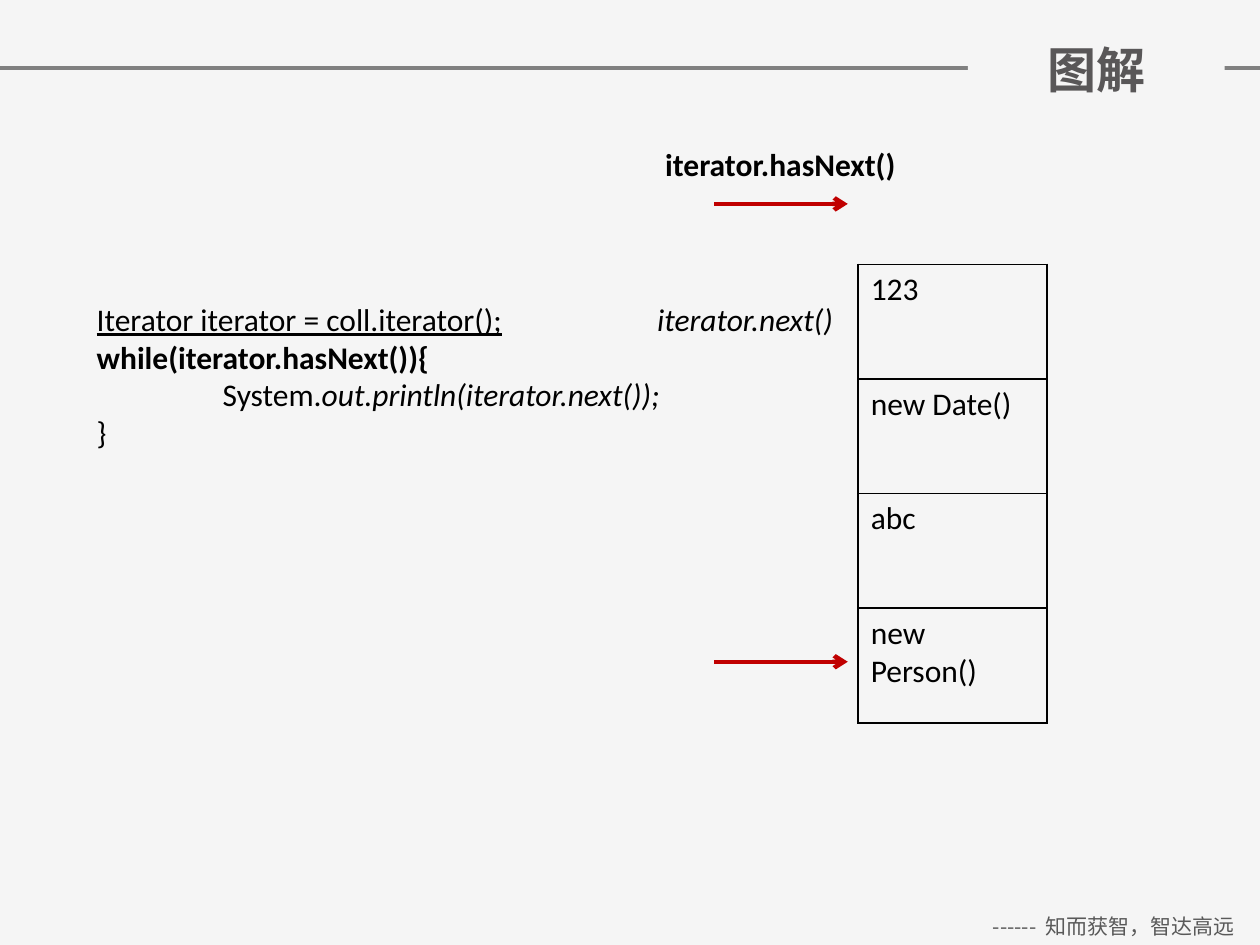
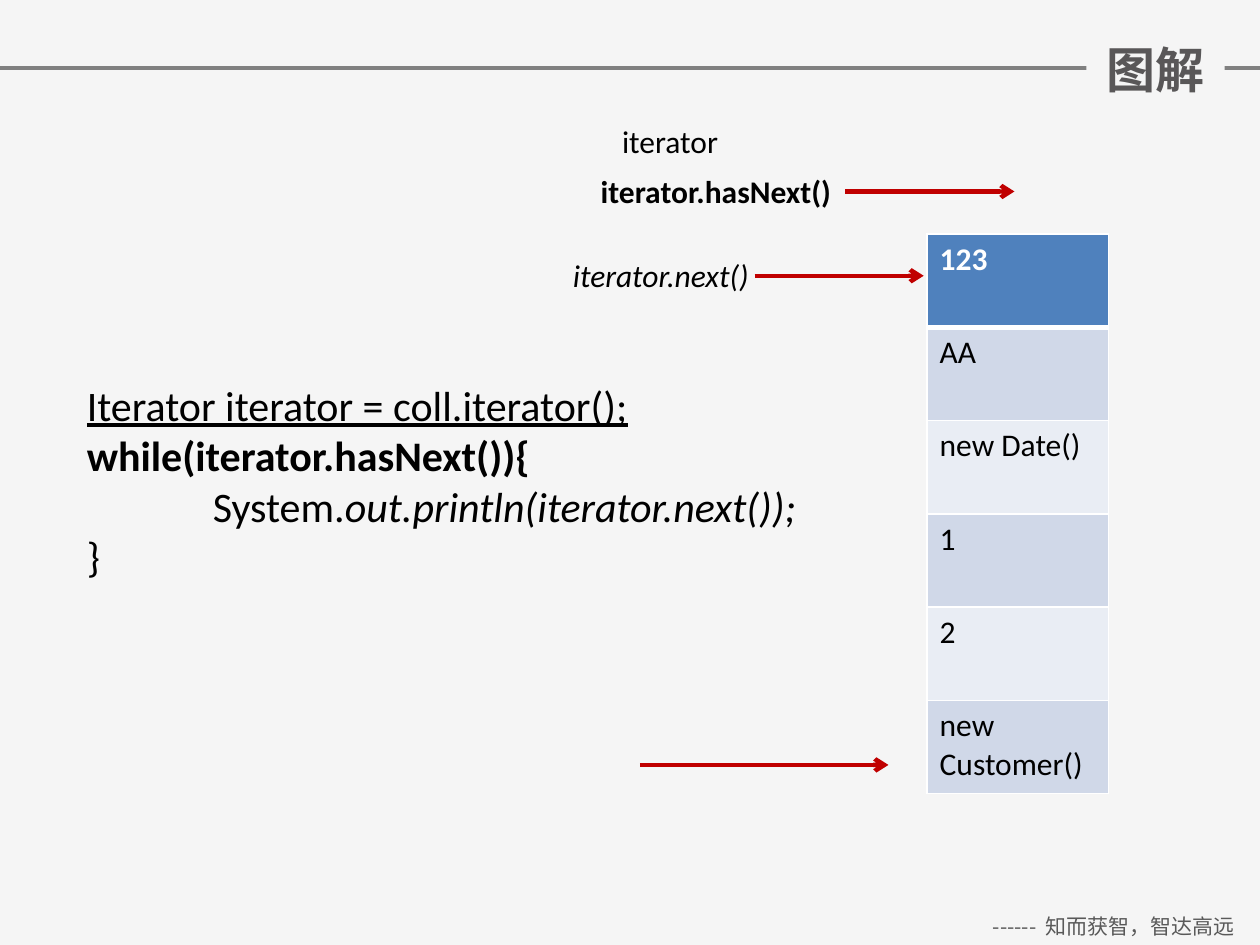
from lxml.etree import SubElement
from pptx import Presentation
from pptx.dml.color import RGBColor
from pptx.enum.shapes import MSO_CONNECTOR, MSO_SHAPE
from pptx.enum.text import MSO_ANCHOR, PP_ALIGN
from pptx.oxml import parse_xml
from pptx.oxml.ns import nsdecls, qn
from pptx.util import Cm, Pt

COLORS = {
    "background": "F5F5F5", "rule": "808080", "title": "595758",
    "footer": "595959", "text": "000000", "white": "FFFFFF",
    "arrow": "C00000", "header": "4F81BD",
    "band_dark": "D0D8E8", "band_light": "E9EDF4",
}
LATIN, CJK = "Calibri", "Noto Sans CJK SC"
SLIDE_W, SLIDE_H = 25.4, 19.05
RULE_Y = 1.37
TITLE_RIGHT = 24.69
FOOTER_BOX = (19.51, 18.29, 5.89, 0.76)
LABEL_H = 1.02
CODE_INDENT = 2.54

# Each code line: indent level, then (text, format) pieces
CODE_LINES = [
    (0, [("Iterator iterator = coll.iterator();", {"underline": True})]),
    (0, [("while(iterator.hasNext()){", {"bold": True})]),
    (1, [("System.", {}), ("out.println(iterator.next());", {"italic": True})]),
    (0, [("}", {})]),
]


def rgb(name):
    return RGBColor.from_string(COLORS[name])


def add_run(p, text, size, color="text", name=LATIN, **formats):
    r = p.add_run()
    r.text = text
    r.font.color.rgb = rgb(color)
    formats.update(size=Pt(size), name=name)
    for key, value in formats.items():
        setattr(r.font, key, value)
    if name == CJK:
        SubElement(r.font._element, qn("a:ea")).set("typeface", name)
    return r


def add_text_frame(s, box, wrap=True):
    tf = s.shapes.add_textbox(*map(Cm, box)).text_frame
    tf.word_wrap = wrap
    return tf


def add_line(s, x1, x2, y, color, width, arrow=False):
    line = s.shapes.add_connector(MSO_CONNECTOR.STRAIGHT, Cm(x1), Cm(y), Cm(x2), Cm(y))
    line.line.color.rgb = rgb(color)
    line.line.width = Pt(width)
    if arrow:
        SubElement(line.line._get_or_add_ln(), qn("a:tailEnd")).set("type", "arrow")
    SubElement(line._element.spPr, qn("a:effectLst"))


def add_arrow(s, x1, x2, y):
    add_line(s, x1, x2, y, "arrow", 2.5, arrow=True)


def add_label(s, text, x, y, w, wrap=False, **formats):
    tf = add_text_frame(s, (x, y, w, LABEL_H), wrap)
    add_run(tf.paragraphs[0], text, 18, **formats)


def add_title(s, text, width):
    sp = s.shapes.add_shape(MSO_SHAPE.RECTANGLE, Cm(TITLE_RIGHT - width), Cm(0.66),
                            Cm(width), Cm(1.45))
    sp.shadow.inherit = False
    sp.fill.solid()
    sp.fill.fore_color.rgb = rgb("background")
    sp.line.fill.background()
    tf = sp.text_frame
    tf.word_wrap = True
    tf.vertical_anchor = MSO_ANCHOR.MIDDLE
    p = tf.paragraphs[0]
    p.alignment = PP_ALIGN.CENTER
    add_run(p, text, 28, "title", CJK, bold=True)


def add_footer(s, box):
    p = add_text_frame(s, box).paragraphs[0]
    p.alignment = PP_ALIGN.CENTER
    dashes, gap, motto = [add_run(p, text, 12, "footer", CJK)
                          for text in ("------", " ", "知而获智，智达高远")]
    gap.font._element.set("spc", "270")  # widens the gap before the motto


def add_base_slide(prs, title, title_width):
    s = prs.slides.add_slide(prs.slide_layouts[6])
    s.background.fill.solid()
    s.background.fill.fore_color.rgb = rgb("background")
    add_line(s, 0, SLIDE_W, RULE_Y, "rule", 2)
    add_footer(s, FOOTER_BOX)
    add_title(s, title, title_width)
    return s


def add_code(s, box, size):
    tf = add_text_frame(s, box)
    for i, (level, pieces) in enumerate(CODE_LINES):
        p = tf.add_paragraph() if i else tf.paragraphs[0]
        if level:
            p._p.get_or_add_pPr().set("marL", str(Cm(level * CODE_INDENT)))
        for text, formats in pieces:
            add_run(p, text, size, **formats)


def set_borders(cell, color, widths):
    """Draw cell borders; widths maps L, R, T and B to points."""
    tcPr = cell._tc.get_or_add_tcPr()
    for i, (side, width) in enumerate(widths.items()):
        tcPr.insert(i, parse_xml(
            f'<a:ln{side} {nsdecls("a")} w="{Pt(width)}"><a:solidFill>'
            f'<a:srgbClr val="{COLORS[color]}"/></a:solidFill></a:ln{side}>'))


def add_collection(s, box, items, border, banded=False):
    """Stack the items of the collection in a one-column table."""
    x, y, w, row_h = box
    table = s.shapes.add_table(len(items), 1, Cm(x), Cm(y), Cm(w),
                               Cm(row_h * len(items))).table
    table.first_row = table.horz_banding = False
    for i, item in enumerate(items):
        table.rows[i].height = Cm(row_h)
        cell = table.cell(i, 0)
        header = banded and i == 0
        if banded:
            cell.fill.solid()
            cell.fill.fore_color.rgb = rgb(
                "header" if header else "band_dark" if i % 2 else "band_light")
        else:
            cell.fill.background()
        add_run(cell.text_frame.paragraphs[0], item, 18,
                "white" if header else "text", bold=header)
        widths = dict.fromkeys("LRTB", 1)
        if banded and i < 2:
            widths["T" if i else "B"] = 3
        set_borders(cell, border, widths)


def build_plain_slide(prs):
    s = add_base_slide(prs, "图解", 5.18)
    add_code(s, (1.7, 5.92, 12.7, 3.33), 18)
    add_collection(s, (17.3, 5.33, 3.81, 2.31),
                   ["123", "new Date()", "abc", "new Person()"], "text")
    for y in (4.11, 13.34):
        add_arrow(s, 14.4, 17.09, y)
    add_label(s, "iterator.hasNext()", 13.16, 2.79, 5.18, bold=True)
    add_label(s, "iterator.next()", 13, 5.92, 4.09, italic=True)


def build_banded_slide(prs):
    s = add_base_slide(prs, "图解", 2.79)
    add_collection(s, (18.69, 4.72, 3.66, 1.88),
                   ["123", "AA", "new Date()", "1", "2", "new Customer()"],
                   "white", banded=True)
    add_code(s, (1.5, 7.52, 15.09, 4.37), 24)
    for x1, x2, y in ((17.04, 20.45, 3.86), (15.21, 18.62, 5.56), (12.9, 17.91, 15.42)):
        add_arrow(s, x1, x2, y)
    add_label(s, "iterator", 12.29, 2.34, 4.29, wrap=True)
    add_label(s, "iterator.hasNext()", 11.86, 3.35, 5.18, bold=True)
    add_label(s, "iterator.next()", 11.3, 5.03, 4.09, italic=True)


def main():
    prs = Presentation()
    prs.slide_width, prs.slide_height = Cm(SLIDE_W), Cm(SLIDE_H)
    build_plain_slide(prs)
    build_banded_slide(prs)
    prs.save("out.pptx")


if __name__ == "__main__":
    main()
